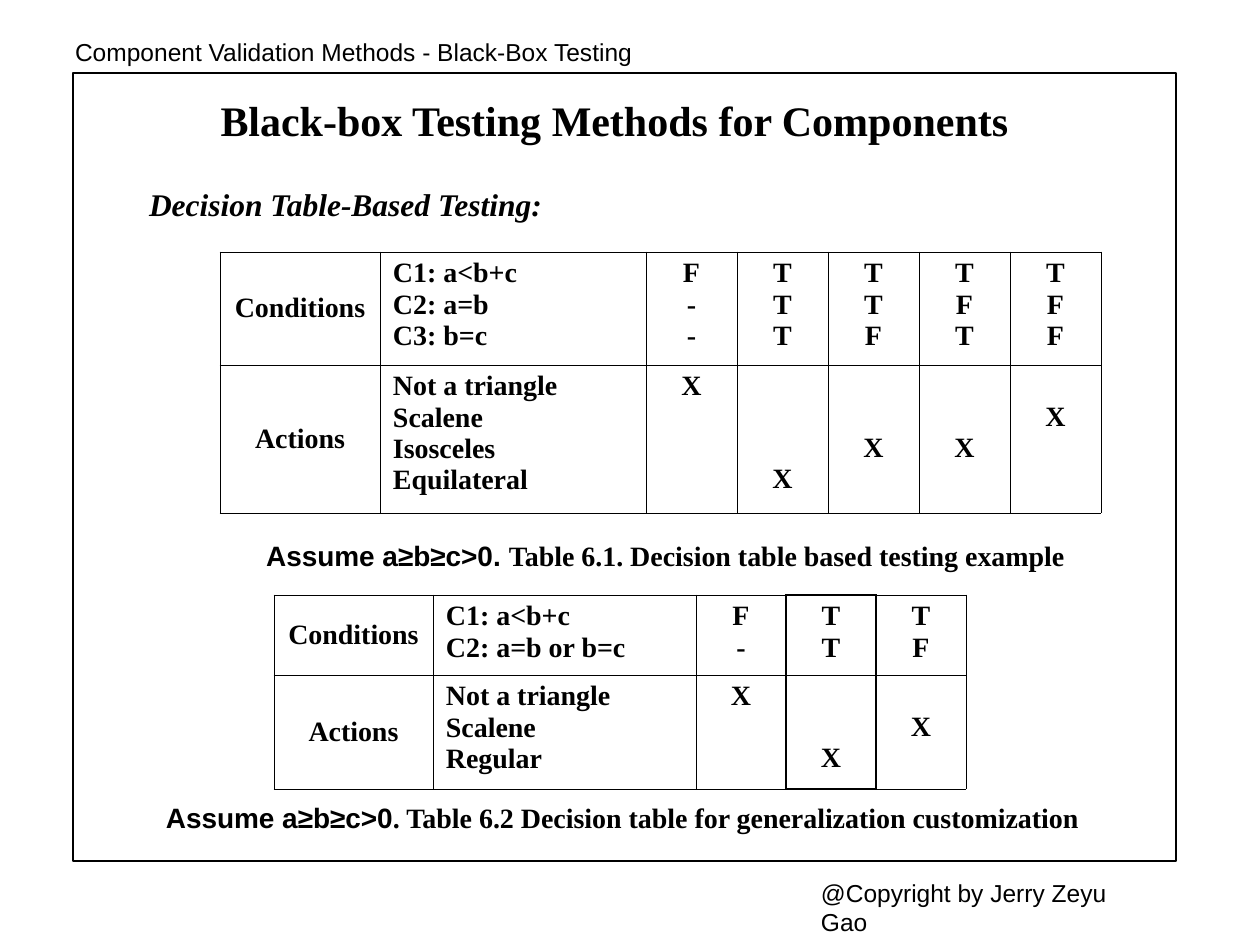
from dataclasses import dataclass

from lxml.etree import SubElement
from pptx import Presentation
from pptx.dml.color import RGBColor
from pptx.enum.shapes import MSO_SHAPE
from pptx.enum.text import MSO_ANCHOR as ANCHOR, MSO_AUTO_SIZE as AUTO, PP_ALIGN as ALIGN
from pptx.oxml.ns import qn
from pptx.util import Emu, Pt

EMU_PER_PX = 914400 // 126


@dataclass(frozen=True)
class Theme:
    ink: str = "000000"
    serif: str = "Times New Roman"
    sans: str = "Arial"
    title: int = 24
    heading: int = 18
    body: int = 16
    label: int = 14
    frame: float = 0.75
    thin: float = 0.45
    thick: float = 1.47


T = Theme()

FRAME = (73, 73, 1103, 788)
TITLE = ("Black-box Testing Methods for Components", (189, 73, 851, 94))
HEADING = ("Decision Table-Based Testing:", (136, 179, 987, 577))
LABELS = [
    ("Component Validation Methods - Black-Box Testing", (62, 31, 587, 43)),
    ("@Copyright by Jerry Zeyu Gao", (808, 872, 364, 43)),
]
CAPTIONS = [
    ("Assume a≥b≥c>0. ", "Table 6.1. Decision table based testing example",
     (246, 532, 839, 47)),
    ("Assume a≥b≥c>0", ". Table 6.2 Decision table for generalization customization",
     (145, 794, 955, 47)),
]
# Each rule holds its condition values and the index of the action it marks.
TABLES = [
    dict(
        origin=(220, 252), head_widths=(160, 266), rule_width=91, rows=(113, 148),
        conditions=["C1: a<b+c", "C2: a=b", "C3: b=c"],
        actions=["Not a triangle", "Scalene", "Isosceles", "Equilateral"],
        rules=[("F--", 0), ("TTT", 3), ("TTF", 2), ("TFT", 2), ("TFF", 1)],
        outlined=None,
    ),
    dict(
        origin=(274, 595), head_widths=(159, 263), rule_width=90, rows=(80, 114),
        conditions=["C1: a<b+c", "C2: a=b or b=c"],
        actions=["Not a triangle", "Scalene", "Regular"],
        rules=[("F-", 0), ("TT", 2), ("TF", 1)],
        outlined=3,
    ),
]
INSET_X, INSET_Y, LINE = 13, 6, 31


def px(n):
    return Emu(n * EMU_PER_PX)


def place(sp, box):
    sp.left, sp.top, sp.width, sp.height = map(px, box)


def write(tf, lines, size=T.body, font=T.serif, bold=True, italic=False,
          align=ALIGN.LEFT, before=0):
    """Fill tf; a line is a string or a list of (text, font) runs."""
    for i, line in enumerate(lines):
        p = tf.paragraphs[0] if i == 0 else tf.add_paragraph()
        p.alignment = align
        p.space_before = Pt(before)
        for text, face in [(line, font)] if isinstance(line, str) else line:
            r = p.add_run()
            r.text = text
            f = r.font
            f.name, f.size, f.bold, f.italic = face, Pt(size), bold, italic
            f.color.rgb = RGBColor.from_string(T.ink)


def set_body(tf, anchor=ANCHOR.TOP, wrap=True):
    tf.word_wrap = wrap
    tf.auto_size = AUTO.NONE if wrap else AUTO.SHAPE_TO_FIT_TEXT
    tf.vertical_anchor = anchor
    tf.margin_left = tf.margin_right = px(INSET_X)
    tf.margin_top = tf.margin_bottom = px(INSET_Y)


def add_label(slide, line, box, anchor=ANCHOR.TOP, **fmt):
    sp = slide.shapes.add_textbox(*map(px, box))
    set_body(sp.text_frame, anchor, wrap=False)
    write(sp.text_frame, [line], **fmt)


def set_borders(cell, thick_sides):
    tc_pr = cell._tc.get_or_add_tcPr()
    for side in "LRTB":
        width = T.thick if side in thick_sides else T.thin
        ln = SubElement(tc_pr, qn(f"a:ln{side}"), w=str(Pt(width)))
        SubElement(SubElement(ln, qn("a:solidFill")), qn("a:srgbClr"), val=T.ink)


def thick_sides(row, col, outlined):
    """Sides of a cell that lie on the outline round one column."""
    if outlined is None:
        return ""
    return {-1: "R", 0: "LR" + "TB"[row], 1: "L"}.get(col - outlined, "")


def add_decision_table(slide, spec):
    rules = spec["rules"]
    widths = [*spec["head_widths"], *[spec["rule_width"]] * len(rules)]
    heights = spec["rows"]
    box = (*spec["origin"], sum(widths), sum(heights))
    table = slide.shapes.add_table(len(heights), len(widths), *map(px, box)).table
    table.first_row = table.horz_banding = False
    for col, w in zip(table.columns, widths):
        col.width = px(w)
    for row, h in zip(table.rows, heights):
        row.height = px(h)

    content = [
        [["Conditions"], spec["conditions"], *[list(values) for values, _ in rules]],
        [["Actions"], spec["actions"], *[["X"] for _ in rules]],
    ]
    for r, row in enumerate(content):
        for c, lines in enumerate(row):
            cell = table.cell(r, c)
            skipped = rules[c - 2][1] if r == 1 and c >= 2 else 0
            cell.margin_left = cell.margin_right = px(INSET_X)
            cell.margin_top = px(INSET_Y + skipped * LINE)
            cell.margin_bottom = px(INSET_Y)
            cell.vertical_anchor = ANCHOR.MIDDLE if c == 0 else ANCHOR.TOP
            write(cell.text_frame, lines, align=ALIGN.LEFT if c == 1 else ALIGN.CENTER)
            set_borders(cell, thick_sides(r, c, spec["outlined"]))
            cell.fill.background()


def main():
    prs = Presentation()
    prs.slide_width, prs.slide_height = px(1260), px(945)
    slide = prs.slides.add_slide(prs.slide_layouts[1])

    frame = slide.shapes.add_shape(MSO_SHAPE.RECTANGLE, *map(px, FRAME))
    frame.shadow.inherit = False
    frame.fill.background()
    frame.line.color.rgb = RGBColor.from_string(T.ink)
    frame.line.width = Pt(T.frame)

    title, body = slide.placeholders
    text, box = TITLE
    place(title, box)
    set_body(title.text_frame, ANCHOR.MIDDLE)
    write(title.text_frame, [text], size=T.title, align=ALIGN.CENTER)

    text, box = HEADING
    place(body, box)
    set_body(body.text_frame)
    write(body.text_frame, [text], size=T.heading, italic=True, before=4.5)
    p_pr = body.text_frame.paragraphs[0]._p.get_or_add_pPr()
    p_pr.set("marL", str(px(48)))
    p_pr.set("indent", str(px(-48)))
    SubElement(p_pr, qn("a:buNone"))

    for text, box in LABELS:
        add_label(slide, text, box, size=T.label, font=T.sans, bold=False)
    for spec in TABLES:
        add_decision_table(slide, spec)
    for assumption, caption, box in CAPTIONS:
        add_label(slide, [(assumption, T.sans), (caption, T.serif)], box,
                  anchor=ANCHOR.MIDDLE, align=ALIGN.CENTER)

    prs.save("out.pptx")


if __name__ == "__main__":
    main()
